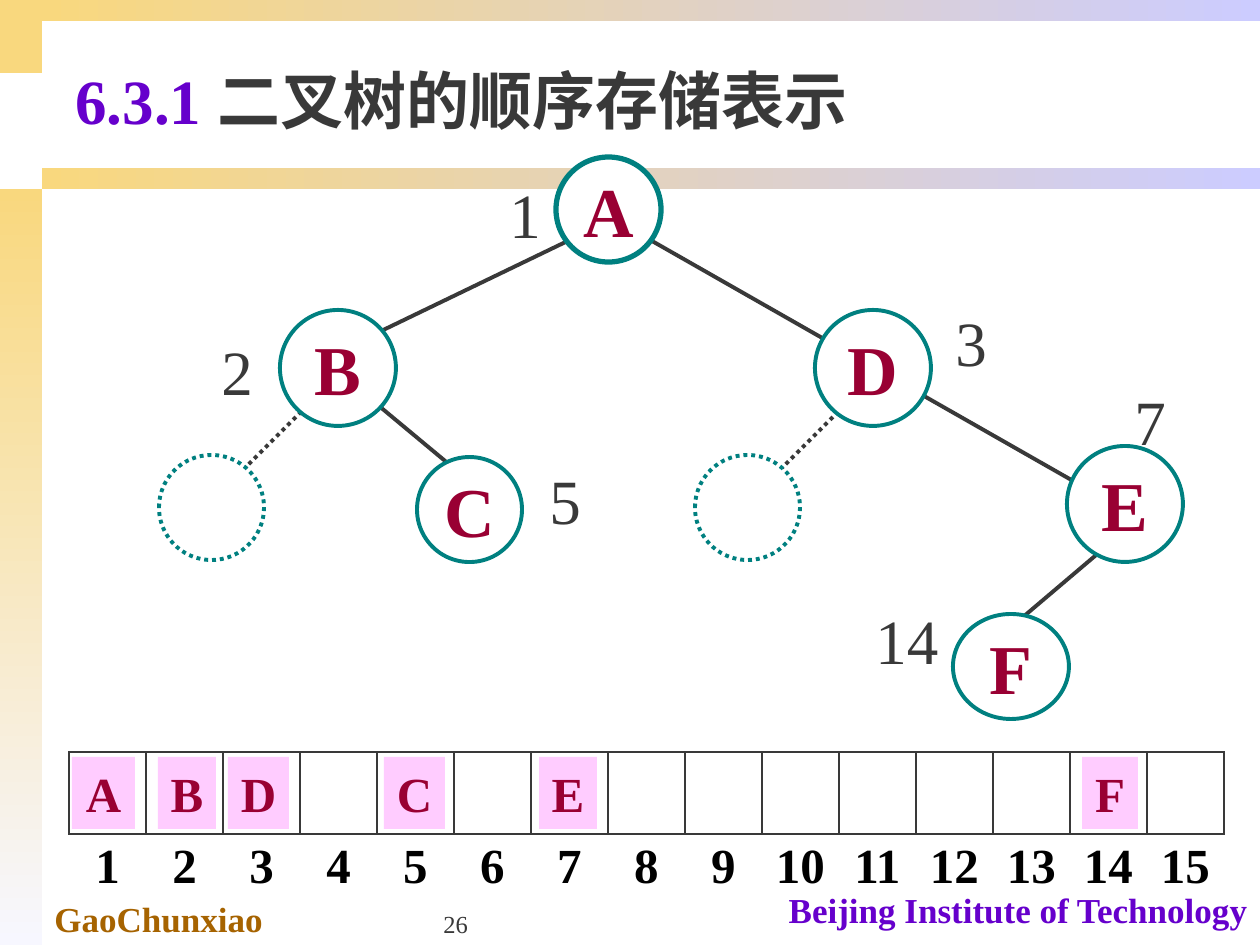
from lxml import etree
from pptx import Presentation
from pptx import util as u
from pptx.dml.color import RGBColor
from pptx.enum import dml, shapes, text
from pptx.oxml.ns import qn

GOLD = RGBColor(0xF9, 0xD8, 0x7E)
PALE = RGBColor(0xF7, 0xF7, 0xFF)
LILAC = RGBColor(0xCC, 0xCC, 0xFF)
BROWN = RGBColor(0xA6, 0x63, 0x00)
PURPLE = RGBColor(0x66, 0x00, 0xCC)
GREY = RGBColor(0x39, 0x39, 0x39)
TEAL = RGBColor(0x00, 0x80, 0x80)
WINE = RGBColor(0x99, 0x00, 0x33)
PINK = RGBColor(0xFF, 0xCC, 0xFF)
WHITE = RGBColor(0xFF, 0xFF, 0xFF)
BLACK = RGBColor(0x00, 0x00, 0x00)

LEFT, MID, RIGHT = text.PP_ALIGN.LEFT, text.PP_ALIGN.CENTER, text.PP_ALIGN.RIGHT
DOTS = dml.MSO_LINE.ROUND_DOT
OVAL, RECT = shapes.MSO_SHAPE.OVAL, shapes.MSO_SHAPE.RECTANGLE

SLOTS = 15
EDGES = [
    (844, 406, 765, 485, DOTS), (307, 406, 228, 485, DOTS),
    (1121, 534, 1003, 634, None), (645, 237, 1082, 486, None),
    (576, 237, 348, 347, None), (367, 396, 486, 495, None),
]
NODES = [
    ("A", 556, 157, 105, 105, 3), ("B", 280, 310, 116, 116, 2.25),
    ("C", 417, 457, 105, 105, 2.25), ("D", 815, 310, 116, 116, 2.25),
    ("E", 1067, 446, 116, 116, 2.25), ("F", 953, 614, 116, 105, 2.25),
]
MARKS = [
    ("2", 209, 326, 57), ("5", 537, 455, 57), ("1", 497, 169, 57),
    ("14", 863, 595, 88), ("3", 943, 297, 57), ("7", 1122, 376, 57),
]
CARDS = [
    ("A", 72, 63), ("B", 158, 58), ("D", 228, 61),
    ("C", 384, 61), ("E", 539, 58), ("F", 1082, 56),
]


class Deck:
    """Draws styled elements on the current slide, in px."""

    face = "Times New Roman"
    scale = 914400 / 126

    def __init__(self, wide, high):
        self.prs = Presentation()
        self.prs.slide_width, self.prs.slide_height = self.emu(wide, high)
        self.slide = self.prs.slides.add_slide(self.prs.slide_layouts[6])
        self.items = self.slide.shapes

    def emu(self, *px):
        return [u.Emu(round(n * self.scale)) for n in px]

    def words(self, frame, runs, size, bold=False, align=LEFT):
        para = frame.paragraphs[0]
        para.alignment = align
        style = {"name": self.face, "size": u.Pt(size), "bold": bold}
        for body, color in runs:
            run = para.add_run()
            run.text = body
            for key, value in style.items():
                setattr(run.font, key, value)
            run.font.color.rgb = color

    def label(self, box, runs, size, bold=False, align=LEFT, wrap=True,
              anchor=text.MSO_ANCHOR.TOP):
        frame = self.items.add_textbox(*self.emu(*box)).text_frame
        frame.word_wrap, frame.vertical_anchor = wrap, anchor
        self.words(frame, runs, size, bold, align)

    def shape(self, kind, box, fill):
        item = self.items.add_shape(kind, *self.emu(*box))
        item.shadow.inherit = False
        item.line.fill.background()
        item.fill.solid()
        item.fill.fore_color.rgb = fill
        return item

    def fade(self, box, start, end, angle):
        fill = self.shape(RECT, box, start).fill
        fill.gradient()
        fill.gradient_angle = angle
        for stop, color in zip(fill.gradient_stops, (start, end)):
            stop.color.rgb = color

    def stroke(self, line, color, width, dash=None):
        line.color.rgb = color
        line.width = u.Pt(width)
        if dash:
            line.dash_style = dash

    def edge(self, ends, dash):
        link = self.items.add_connector(shapes.MSO_CONNECTOR.STRAIGHT, *self.emu(*ends))
        self.stroke(link.line, GREY, 2.25, dash)
        etree.SubElement(link._element.spPr, qn("a:effectLst"))

    def node(self, box, name="", width=2.25, dash=None):
        item = self.shape(OVAL, box, WHITE)
        self.stroke(item.line, TEAL, width, dash)
        if name:
            item.text_frame.word_wrap = False
            self.words(item.text_frame, [(name, WINE)], 40, True, MID)

    def card(self, box, name):
        frame = self.shape(RECT, box, PINK).text_frame
        frame.word_wrap = False
        frame.vertical_anchor = text.MSO_ANCHOR.TOP
        self.words(frame, [(name, WINE)], 28, True, MID)

    def border(self, cell, sides):
        props = cell._tc.get_or_add_tcPr()
        for side in "LRTB":
            line = etree.SubElement(props, qn(f"a:ln{side}"), w="12700")
            if side in sides:
                fill = etree.SubElement(line, qn("a:solidFill"))
                etree.SubElement(fill, qn("a:srgbClr"), val=str(GREY))
            else:
                etree.SubElement(line, qn("a:noFill"))

    def table(self, box, count):
        grid = self.items.add_table(2, count, *self.emu(*box)).table
        grid.first_row = grid.horz_banding = False
        for col in range(count):
            grid.columns[col].width = self.emu(box[2] / count)[0]
            for row, sides in enumerate(("LRTB", "T")):
                cell = grid.cell(row, col)
                self.border(cell, sides)
                cell.fill.background()
            self.words(cell.text_frame, [(str(col + 1), BLACK)], 28, True, MID)


def main():
    deck = Deck(1260, 945)
    deck.shape(RECT, (0, 0, 42, 73), GOLD)
    deck.fade((0, 189, 42, 756), GOLD, PALE, 270)
    for top in (168, 0):
        deck.fade((42, top, 1218, 21), GOLD, LILAC, 0)

    deck.label((42, 891, 441, 55), [("GaoChunxiao", BROWN)], 20, True)
    deck.label((766, 882, 494, 54), [("Beijing Institute of Technology", PURPLE)],
               20, True, RIGHT)
    deck.label((63, 32, 1197, 134), [("6.3.1 ", PURPLE), ("二叉树的顺序存储表示", GREY)],
               36, True, anchor=text.MSO_ANCHOR.MIDDLE)
    deck.label((431, 882, 262, 63), [("26", GREY)], 14, anchor=text.MSO_ANCHOR.BOTTOM)
    deck.table((69, 752, 1155, 164), SLOTS)

    for *ends, dash in EDGES:
        deck.edge(ends, dash)
    for name, *box, width in NODES:
        deck.node(box, name, width)
    for mark, left, top, wide in MARKS:
        deck.label((left, top, wide, 88), [(mark, GREY)], 36, wrap=False)
    for left in (159, 695):
        deck.node((left, 455, 105, 105), dash=DOTS)
    for name, left, wide in CARDS:
        deck.card((left, 757, wide, 72), name)
    deck.prs.save("out.pptx")


if __name__ == "__main__":
    main()
